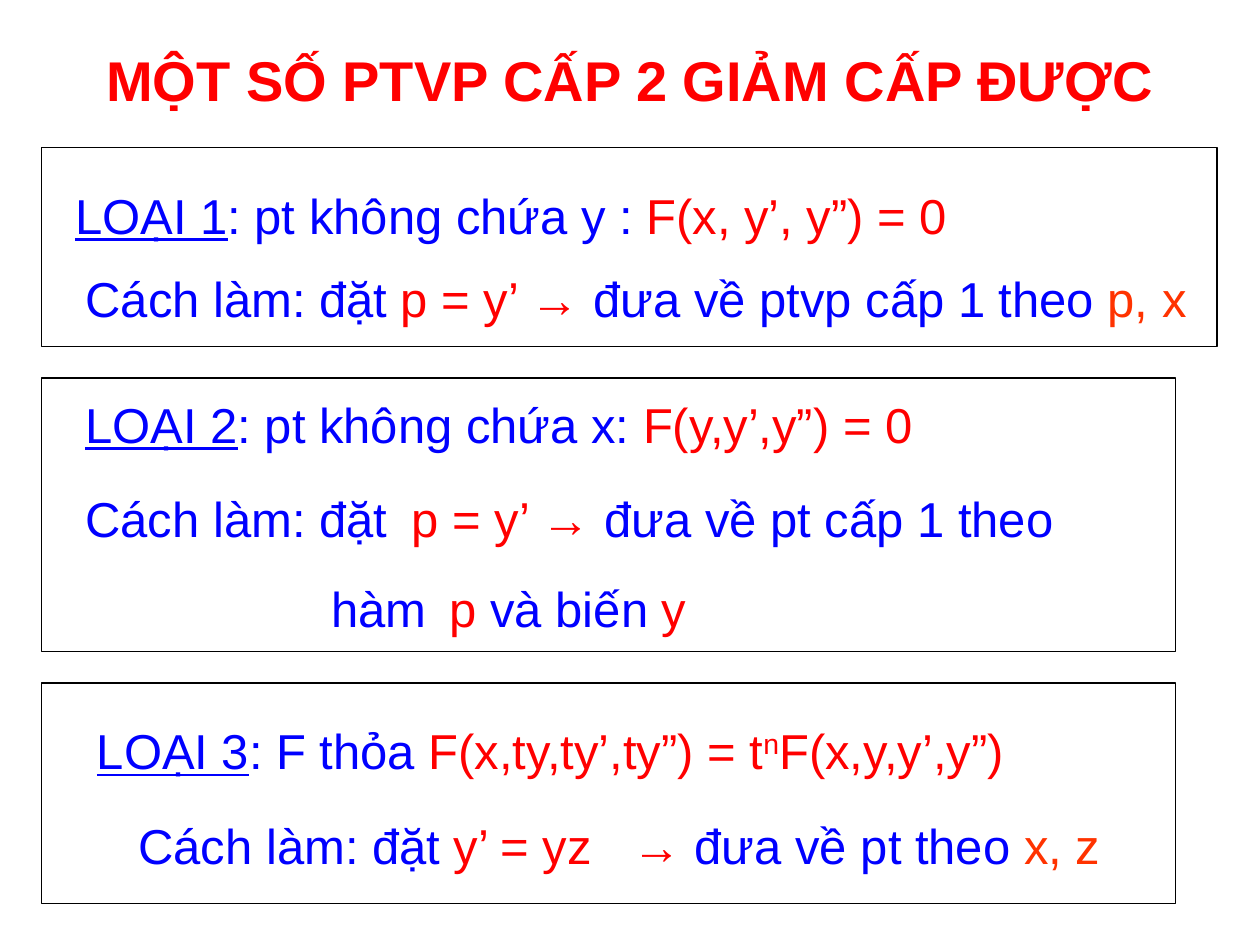
from dataclasses import dataclass

import pptx
import pptx.dml.color
import pptx.enum.shapes
import pptx.enum.text
import pptx.oxml
import pptx.oxml.ns
import pptx.util

Inches, Pt = pptx.util.Inches, pptx.util.Pt
RGBColor = pptx.dml.color.RGBColor

BLUE = RGBColor(0x00, 0x00, 0xFF)
RED = RGBColor(0xFF, 0x00, 0x00)
ORANGE = RGBColor(0xFF, 0x33, 0x00)
BLACK = RGBColor(0x00, 0x00, 0x00)
FONT = "Arial"


@dataclass
class Span:
    text: str
    color: RGBColor = BLUE
    underline: bool = False
    superscript: bool = False


@dataclass
class Line:
    spans: list[Span]
    tabs: tuple[float, ...] = ()  # inches from the text edge


@dataclass
class Note:
    left: float
    top: float
    width: float
    height: float
    lines: list[Line]


@dataclass
class Panel:
    top: float
    width: float
    height: float
    notes: list[Note]


def heading(number: int, condition: str, *formula: Span) -> list[Line]:
    return [Line([Span(f"LOẠI {number}", underline=True), Span(condition), *formula])]


PANELS = [
    Panel(1.17, 9.33, 1.58, [
        Note(0.5, 1.42, 8.17, 0.57,
             heading(1, ": pt không chứa y : ", Span("F(x, y’, y”) = 0", RED))),
        Note(0.58, 2.08, 9.08, 0.57, [
            Line([Span("Cách làm: đặt "), Span("p = y’ → ", RED),
                  Span("đưa về ptvp cấp 1 theo "), Span("p, x", ORANGE)])]),
    ]),
    Panel(3, 9, 2.17, [
        Note(0.58, 3.08, 7.33, 0.57,
             heading(2, ": pt không chứa x: ", Span("F(y,y’,y”) = 0", RED))),
        Note(0.58, 3.83, 8.5, 1.28, [
            Line([Span("Cách làm: đặt\t"), Span("p = y’ →", RED),
                  Span(" đưa về pt cấp 1 theo")], tabs=(2.59,)),
            Line([Span("\thàm\t"), Span("p ", RED), Span("và biến"), Span(" y", RED)],
                 tabs=(1.95, 2.89))]),
    ]),
    Panel(5.42, 9, 1.75, [
        Note(0.67, 5.67, 7.92, 0.57,
             heading(3, ": F thỏa ", Span("F(x,ty,ty’,ty”) = t", RED),
                     Span("n", RED, superscript=True), Span("F(x,y,y’,y”)", RED))),
        Note(1, 6.42, 8.17, 0.57, [
            Line([Span("Cách làm: đặt "), Span("y’ = yz\t→", RED),
                  Span(" đưa về pt theo "), Span("x, z", ORANGE)], tabs=(3.92,))]),
    ]),
]


def add_tabs(para, stops: tuple[float, ...]) -> None:
    tab_list = pptx.oxml.parse_xml(f"<a:tabLst {pptx.oxml.ns.nsdecls('a')}/>")
    for stop in stops:
        tab_list.append(pptx.oxml.parse_xml(
            f'<a:tab {pptx.oxml.ns.nsdecls("a")} pos="{Inches(stop)}" algn="l"/>'))
    para._p.get_or_add_pPr().append(tab_list)


def add_note(shapes, note: Note) -> None:
    box = shapes.add_textbox(Inches(note.left), Inches(note.top),
                             Inches(note.width), Inches(note.height))
    frame = box.text_frame
    frame.word_wrap = True
    frame.auto_size = pptx.enum.text.MSO_AUTO_SIZE.SHAPE_TO_FIT_TEXT
    for index, line in enumerate(note.lines):
        para = frame.add_paragraph() if index else frame.paragraphs[0]
        if index:
            para.space_before = Pt(17.5)
        if line.tabs:
            add_tabs(para, line.tabs)
        para.font.name = FONT
        para.font.size = Pt(28)
        for part in line.spans:
            span = para.add_run()
            span.text = part.text
            span.font.color.rgb = part.color
            if part.underline:
                span.font.underline = True
            if part.superscript:
                span._r.get_or_add_rPr().set("baseline", "30000")


def add_panel(page, panel: Panel) -> None:
    shapes = page.shapes.add_group_shape().shapes
    frame = shapes.add_shape(pptx.enum.shapes.MSO_SHAPE.RECTANGLE, Inches(0.33),
                             Inches(panel.top), Inches(panel.width), Inches(panel.height))
    frame.shadow.inherit = False
    frame.fill.background()
    frame.line.color.rgb = BLACK
    frame.line.width = Pt(0.75)
    for note in panel.notes:
        add_note(shapes, note)


def main() -> None:
    deck = pptx.Presentation()
    deck.slide_width, deck.slide_height = Inches(10), Inches(7.5)
    page = deck.slides.add_slide(deck.slide_layouts[5])

    # Title
    title = page.shapes.title
    title.left, title.top = Inches(0.5), Inches(0.17)
    title.width, title.height = Inches(9), Inches(0.92)
    title.text_frame.text = "MỘT SỐ PTVP CẤP 2 GIẢM CẤP ĐƯỢC"
    para = title.text_frame.paragraphs[0]
    para.alignment = pptx.enum.text.PP_ALIGN.CENTER
    para.font.name = FONT
    para.font.size = Pt(32)
    para.font.bold = True
    para.font.color.rgb = RED

    # One framed panel for each type of equation
    for panel in PANELS:
        add_panel(page, panel)

    deck.save("out.pptx")


if __name__ == "__main__":
    main()
